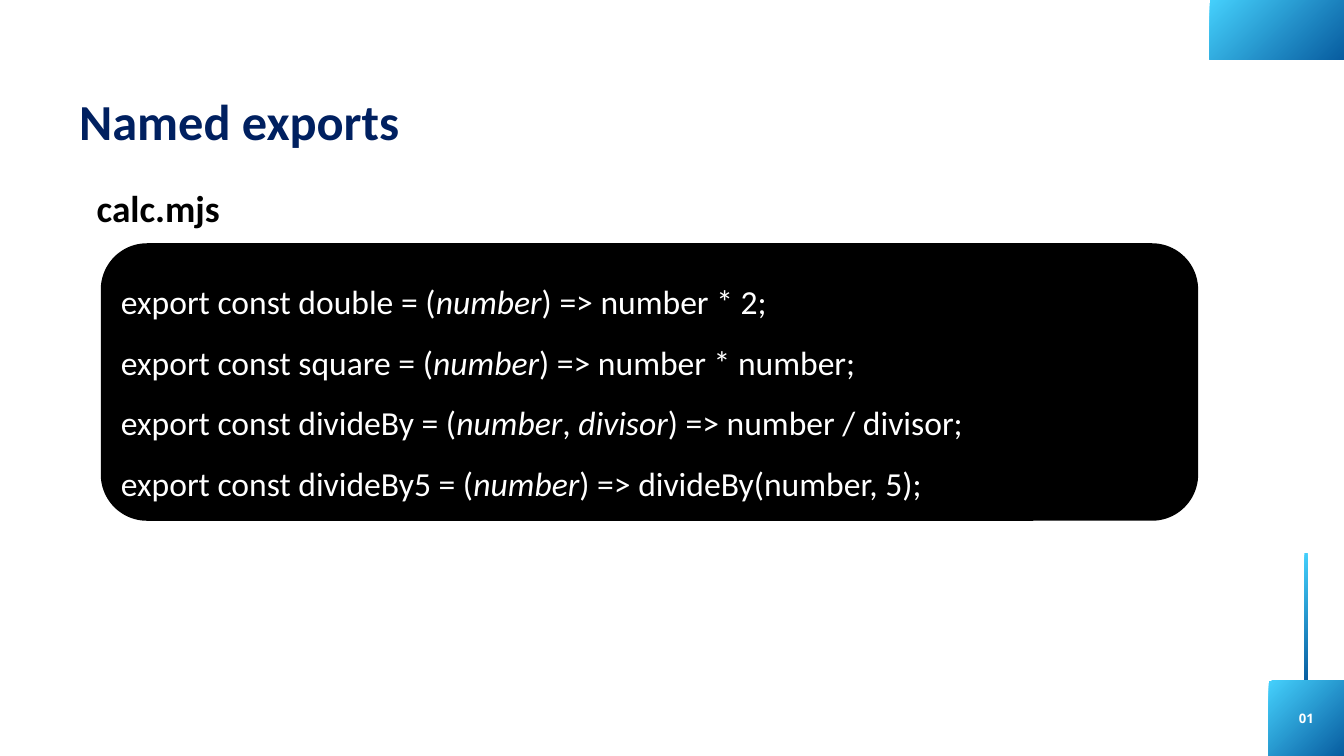
import pptx
import pptx.util
import pptx.dml.color
import pptx.enum.shapes
import pptx.enum.text

WIDTH, HEIGHT = 20, 11.25
LIGHT, DARK = "45D0FC", "085DA0"

# Underscores enclose the italic parameters.
CODE = [
    "export const double = (_number_) => number * 2;",
    "export const square = (_number_) => number * number;",
    "export const divideBy = (_number_, _divisor_) => number / divisor;",
    "export const divideBy5 = (_number_) => divideBy(number, 5);",
]
# text, box, size, colour
HEADINGS = [
    ("Named exports", (1.08, 1.29, 5.01, 1.01), 54, "002060"),
    ("calc.mjs", (1.34, 2.71, 2.06, 0.77), 40, "000000"),
]
CODE_BOX = (1.5, 3.62, 16.33, 4.13)
NUMBER_BOX = (19.14, 10.54, 0.6, 0.26)
CORNER = 1.12
ORNAMENTS = [
    (19.41, 8.23, 0.05, 1.9),
    (WIDTH - 2, 0, 2, 0.88),
    (WIDTH - CORNER, HEIGHT - CORNER, CORNER, CORNER),
]


def rgb(colour):
    return pptx.dml.color.RGBColor.from_string(colour)


def inches(box):
    return [pptx.util.Inches(v) for v in box]


def add_run(p, text, size, colour, font="Calibri", bold=False, italic=False):
    r = p.add_run()
    r.text = text
    r.font.name, r.font.size = font, pptx.util.Pt(size)
    r.font.bold, r.font.italic = bold, italic
    r.font.color.rgb = rgb(colour)


def add_block(s, kind, box):
    sp = s.shapes.add_shape(kind, *inches(box))
    sp.shadow.inherit = False
    sp.line.fill.background()
    return sp


def add_ornament(s, box):
    sp = add_block(s, pptx.enum.shapes.MSO_SHAPE.RECTANGLE, box)
    sp.fill.gradient()
    sp.fill.gradient_angle = 315
    for stop, colour in zip(sp.fill.gradient_stops, (LIGHT, DARK)):
        stop.color.rgb = rgb(colour)


def add_heading(s, text, box, size, colour):
    tf = s.shapes.add_textbox(*inches(box)).text_frame
    tf.word_wrap = False
    add_run(tf.paragraphs[0], text, size, colour, bold=True)


def add_page_number(s, text):
    tf = s.shapes.add_textbox(*inches(NUMBER_BOX)).text_frame
    tf.word_wrap = True
    tf.margin_left = tf.margin_right = tf.margin_top = tf.margin_bottom = 0
    p = tf.paragraphs[0]
    p.alignment = pptx.enum.text.PP_ALIGN.CENTER
    p.line_spacing = pptx.util.Pt(19.6)
    add_run(p, text, 14, "FFFFFF", font="Open Sans", bold=True)


def add_code(s):
    sp = add_block(s, pptx.enum.shapes.MSO_SHAPE.ROUNDED_RECTANGLE, CODE_BOX)
    sp.fill.solid()
    sp.fill.fore_color.rgb = rgb("000000")
    tf = sp.text_frame
    tf.word_wrap = True
    tf.vertical_anchor = pptx.enum.text.MSO_ANCHOR.MIDDLE
    for i, line in enumerate(CODE):
        p = tf.add_paragraph() if i else tf.paragraphs[0]
        p.alignment = pptx.enum.text.PP_ALIGN.LEFT
        p.line_spacing = 1.5
        for j, part in enumerate(line.split("_")):
            add_run(p, part, 36, "FFFFFF", italic=j % 2 == 1)


def main():
    prs = pptx.Presentation()
    prs.slide_width, prs.slide_height = inches((WIDTH, HEIGHT))
    s = prs.slides.add_slide(prs.slide_layouts[6])
    for box in ORNAMENTS:
        add_ornament(s, box)
    add_page_number(s, "01")
    for heading in HEADINGS:
        add_heading(s, *heading)
    add_code(s)
    prs.save("out.pptx")


if __name__ == "__main__":
    main()
